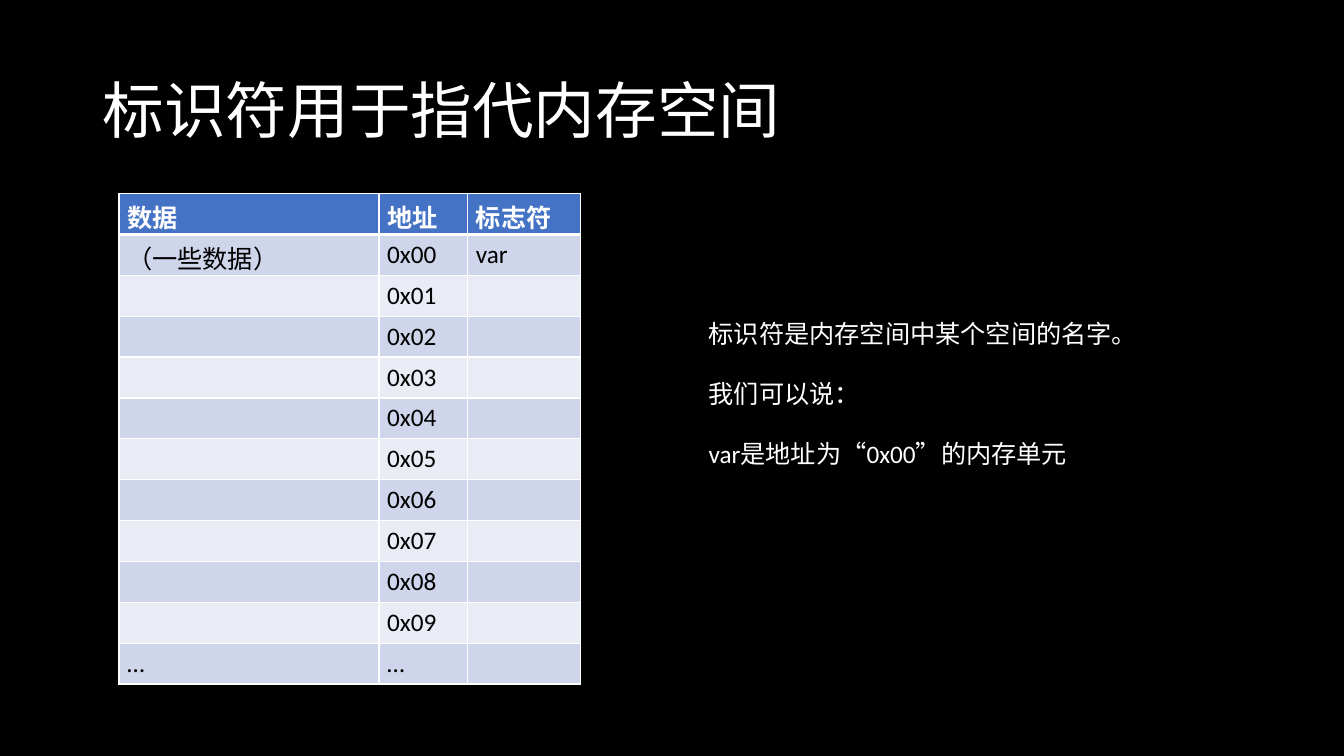
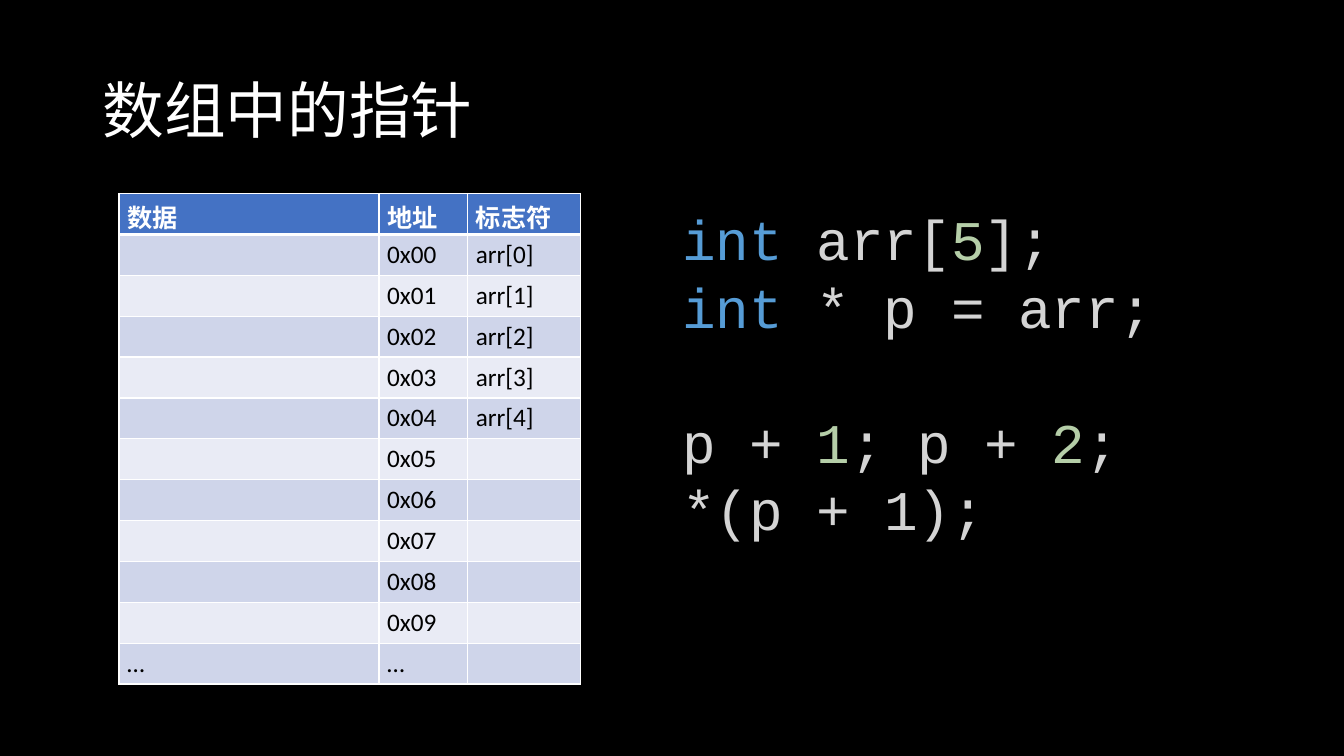
from lxml.etree import SubElement
from pptx import Presentation
from pptx.dml.color import RGBColor
from pptx.enum.text import MSO_ANCHOR
from pptx.oxml.ns import qn
from pptx.util import Inches, Pt

MIDDLE, TOP = MSO_ANCHOR.MIDDLE, MSO_ANCHOR.TOP

COLORS = {
    "back": "000000", "white": "FFFFFF", "black": "000000",
    "head": "4472C4", "odd": "CFD5EA", "even": "E9EBF5",
    "key": "569CD6", "code": "D4D4D4", "num": "B5CEA8",
}
TITLE = {"name": "Calibri", "size": Pt(44)}
BODY = {"name": "Calibri", "size": Pt(18), "bold": False}
HEAD = {**BODY, "bold": True}
CODE = {"name": "Courier New", "size": Pt(40)}

TITLE_BOX = (0.92, 0.4, 11.5, 1.45)
TABLE_BOX = (1.18, 1.92, 4.58, 4.87)
NOTE_BOX = (6.93, 3.1, 4.49, 1.62)
CODE_BOX = (6.67, 1.92, 5.75, 3.47)
COLS = (2.58, 0.88, 1.12)
HEADS = ("数据", "地址", "标志符")
CELLS = 10


def rgb(key):
    return RGBColor.from_string(COLORS[key])


def add_run(para, text, style, color):
    run = para.add_run()
    run.text = text
    for name, value in style.items():
        setattr(run.font, name, value)
    run.font.color.rgb = rgb(color)


def add_text(slide, box, lines, style, anchor=TOP, inset=0.05):
    """Each line is a list of (text, color) and a dict of paragraph format."""
    frame = slide.shapes.add_textbox(*map(Inches, box)).text_frame
    frame.word_wrap = True
    frame.vertical_anchor = anchor
    frame.margin_top = Inches(inset)
    for i, (parts, form) in enumerate(lines):
        para = frame.add_paragraph() if i else frame.paragraphs[0]
        for name, value in form.items():
            setattr(para, name, value)
        for text, color in parts:
            add_run(para, text, style, color)


def add_edges(cell, top, bottom):
    props = cell._tc.get_or_add_tcPr()
    for side, width in zip("LRTB", (1, 1, top, bottom)):
        line = SubElement(props, qn(f"a:ln{side}"), w=str(Pt(width)))
        fill = SubElement(line, qn("a:solidFill"))
        SubElement(fill, qn("a:srgbClr"), val=COLORS["white"])


def add_memory(slide, box, data, names):
    """Memory table: data and names fill the outer columns from address 0."""
    rows = [HEADS]
    for i in range(CELLS):
        rows.append((data.get(i, ""), f"0x{i:02}", names.get(i, "")))
    rows.append(("…", "…", ""))
    table = slide.shapes.add_table(
        len(rows), len(COLS), *map(Inches, box)).table
    for col, width in zip(table.columns, COLS):
        col.width = Inches(width)
    for r, texts in enumerate(rows):
        table.rows[r].height = Inches(box[3] / len(rows))
        fill = "head" if r == 0 else "odd" if r % 2 else "even"
        for c, text in enumerate(texts):
            cell = table.cell(r, c)
            cell.margin_left = cell.margin_right = Inches(0.08)
            add_edges(cell, 3 if r == 1 else 1, 3 if r == 0 else 1)
            cell.fill.solid()
            cell.fill.fore_color.rgb = rgb(fill)
            if text:
                add_run(cell.text_frame.paragraphs[0], text,
                        BODY if r else HEAD, "black" if r else "white")


def add_note(slide, box, texts):
    form = {"line_spacing": Pt(22)}
    gap = {**form, "space_before": Pt(21)}
    lines = [([(text, "white")], gap if i else form)
             for i, text in enumerate(texts)]
    add_text(slide, box, lines, BODY)


def add_code(slide, box, lines):
    """A gap of True leaves the height of one line above."""
    pitch = Pt(48.2)
    lines = [(parts, {"line_spacing": pitch,
                      "space_before": pitch if gap else 0})
             for gap, parts in lines]
    add_text(slide, box, lines, CODE, inset=0.11)


def add_slide(deck, title):
    slide = deck.slides.add_slide(deck.slide_layouts[6])
    slide.background.fill.solid()
    slide.background.fill.fore_color.rgb = rgb("back")
    add_text(slide, TITLE_BOX, [([(title, "white")], {"line_spacing": 0.9})],
             TITLE, MIDDLE)
    return slide


deck = Presentation()
deck.slide_width, deck.slide_height = Inches(13.33), Inches(7.5)

# Identifiers name memory
slide = add_slide(deck, "标识符用于指代内存空间")
add_memory(slide, TABLE_BOX, {0: "（一些数据）"}, {0: "var"})
add_note(slide, NOTE_BOX, (
    "标识符是内存空间中某个空间的名字。",
    "我们可以说：",
    "var是地址为“0x00”的内存单元",
))

# Pointers in arrays
slide = add_slide(deck, "数组中的指针")
add_memory(slide, TABLE_BOX, {}, {i: f"arr[{i}]" for i in range(5)})
add_code(slide, CODE_BOX, (
    (False, [("int ", "key"), ("arr[", "code"), ("5", "num"), ("];", "code")]),
    (False, [("int", "key"), (" * p = arr;", "code")]),
    (True, [("p + ", "code"), ("1", "num"), ("; p + ", "code"),
            ("2", "num"), (";", "code")]),
    (False, [("*(p + 1);", "code")]),
))

deck.save("out.pptx")
